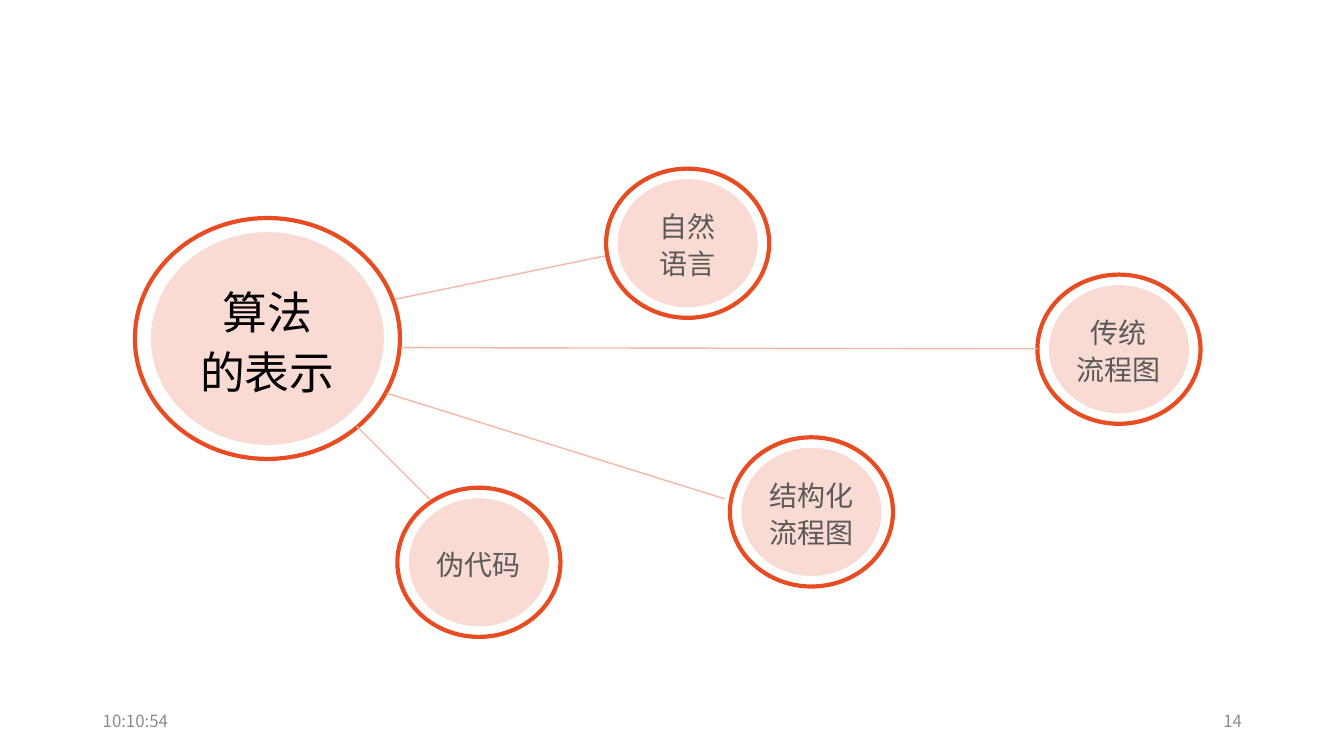
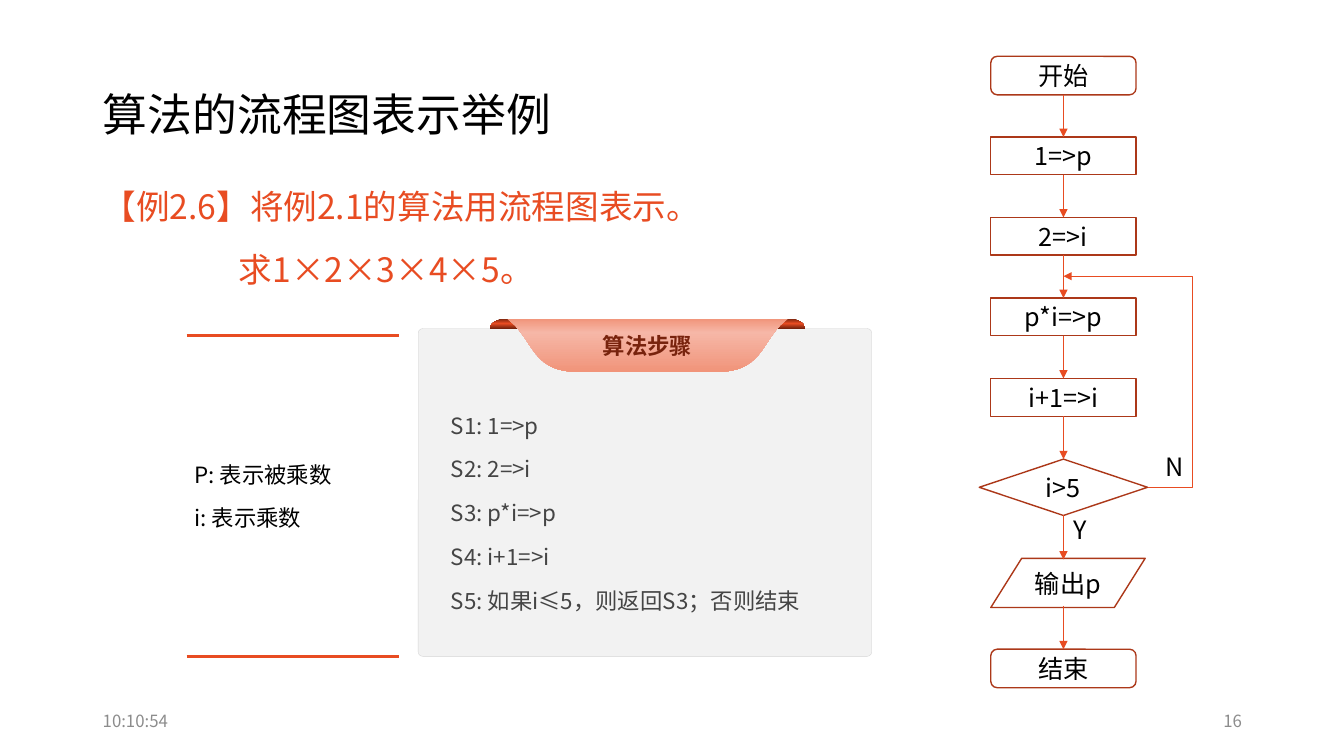
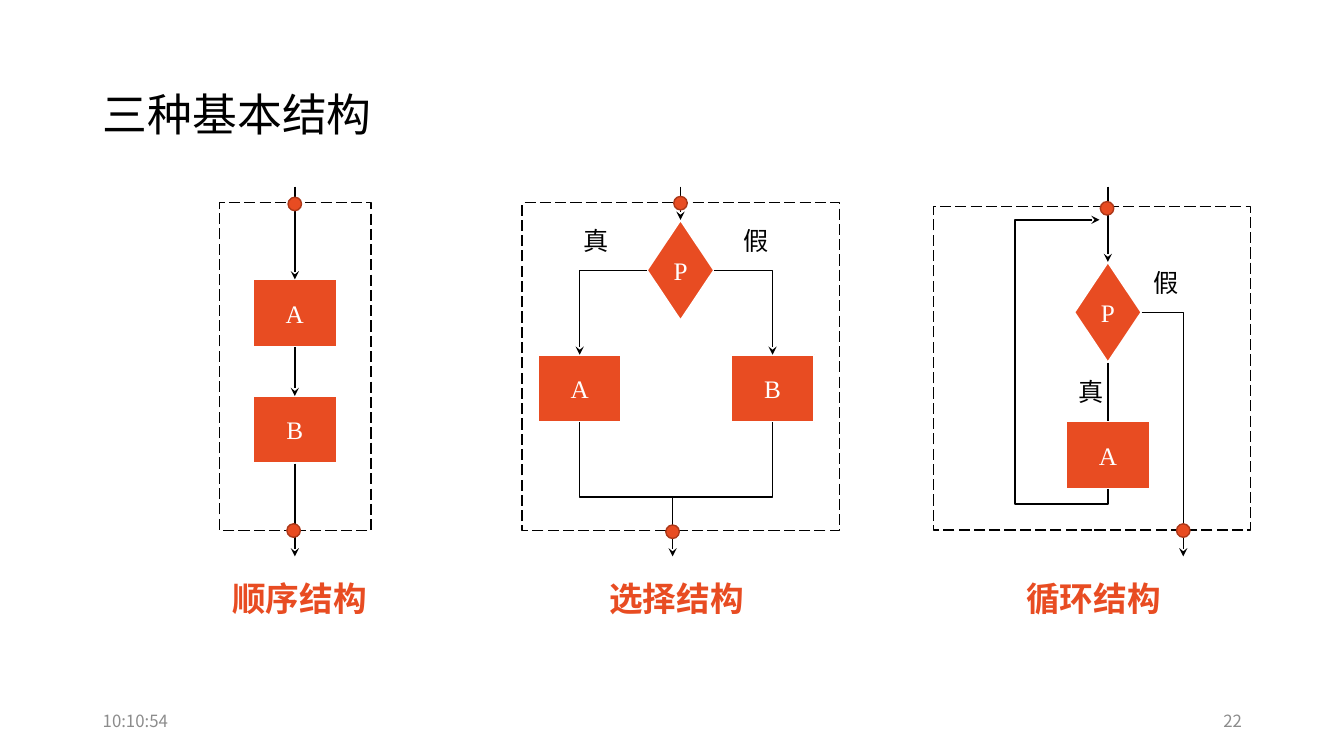
from copy import deepcopy
from math import cos, pi, sin

from lxml import etree
from pptx import Presentation
from pptx.dml.color import RGBColor
from pptx.enum import dml, shapes, text
from pptx.oxml.ns import qn
from pptx.util import Cm, Pt

hue = RGBColor.from_string
KIND = shapes.MSO_SHAPE
LEFT, MID, RIGHT = text.PP_ALIGN.LEFT, text.PP_ALIGN.CENTER, text.PP_ALIGN.RIGHT
SANS, SERIF = "Noto Sans CJK SC", "Times New Roman"
RED, RUST, DARK, PINK, ROSE = "E84C22", "AC3819", "78230D", "FADBD3", "F6B7A7"
BLACK, WHITE, GREY = "000000", "FFFFFF", "8C8C8C"


def put(page, kind, box, words=(), size=18, ink=BLACK, font=SANS, bold=False,
        align=MID, fill=None, line=None, wide=1, pitch=None, gap=(0, 0),
        inset=(0.25, 0.13, 0.25, 0.13), anchor=text.MSO_ANCHOR.MIDDLE):
    spot = [Cm(n) for n in box]
    if kind == "title":
        shape = page.shapes.title
        shape.left, shape.top, shape.width, shape.height = spot
    elif kind == "text":
        shape = page.shapes.add_textbox(*spot)
    elif kind in list(KIND):
        shape = page.shapes.add_shape(kind, *spot)
        shape.shadow.inherit = False
        if fill:
            shape.fill.solid()
            shape.fill.fore_color.rgb = hue(fill)
        else:
            shape.fill.background()
        if line:
            shape.line.color.rgb = hue(line)
            shape.line.width = Pt(wide)
        else:
            shape.line.fill.background()
    else:
        shape = kind
    frame = shape.text_frame
    frame.word_wrap = True
    frame.vertical_anchor = anchor
    (frame.margin_left, frame.margin_top,
     frame.margin_right, frame.margin_bottom) = [Cm(n) for n in inset]
    for i, word in enumerate(words):
        para = frame.add_paragraph() if i else frame.paragraphs[0]
        para.alignment = align
        para.space_before, para.space_after = Pt(gap[0]), Pt(gap[1])
        if pitch:
            para.line_spacing = Pt(pitch)
        run = para.add_run()
        run.text = word
        run.font.size, run.font.bold = Pt(size), bold
        run.font.color.rgb = hue(ink)
        run.font.name = font
        etree.SubElement(run._r.get_or_add_rPr(), qn("a:ea"), typeface=SANS)
    return shape


def wire(page, dots, ink=BLACK, wide=1, head=None, start=None, end=None):
    spots = [(Cm(x), Cm(y)) for x, y in dots]
    if len(spots) == 2:
        shape = page.shapes.add_connector(
            shapes.MSO_CONNECTOR.STRAIGHT, *spots[0], *spots[1])
        if start:
            shape.begin_connect(start, 2)
        if end:
            shape.end_connect(end, 0)
    else:
        form = page.shapes.build_freeform(*spots[0])
        form.add_line_segments(spots[1:], close=False)
        shape = form.convert_to_shape()
        shape.shadow.inherit = False
        shape.fill.background()
    shape.line.color.rgb = hue(ink)
    shape.line.width = Pt(wide)
    props = shape.element.spPr
    if head:
        etree.SubElement(props.find(qn("a:ln")), qn("a:tailEnd"), type=head)
    if len(spots) == 2:
        etree.SubElement(props, qn("a:effectLst"))
    return shape


deck = Presentation()
deck.slide_width, deck.slide_height = Cm(33.87), Cm(19.05)
pages = []
for name, number in [("", "14"), ("算法的流程图表示举例", "16"), ("三种基本结构", "22")]:
    page = deck.slides.add_slide(deck.slide_layouts[5 if name else 6])
    if name:
        put(page, "title", (2.34, 1.02, 29.21, 3.68), [name], 32, align=LEFT)
    for x, word, align in [(2.34, "10:10:54", LEFT), (23.93, number, RIGHT)]:
        put(page, "text", (x, 17.65, 7.62, 1.02), [word], 12, GREY, align=align)
    pages.append(page)
hub, flow, trio = pages

big = ((5.87, 5.36), (6.68, 6.07), 32, BLACK, 43)
small = ((3.53, 3.23), (4.11, 3.76), 20, "595959", 26.4)
for x, y, words, style in [
    (6.74, 8.53, ["算法", "的表示"], big),
    (12.07, 14.17, ["伪代码"], small),
    (20.45, 12.9, ["结构化", "流程图"], small),
    (28.2, 8.8, ["传统", "流程图"], small),
    (17.33, 6.13, ["自然", "语言"], small),
]:
    disc, ring, size, ink, pitch = style
    put(hub, KIND.OVAL, (x - disc[0] / 2, y - disc[1] / 2, *disc), words, size,
        ink, fill=PINK, pitch=pitch, inset=(0, 0, 0, 0))
    put(hub, KIND.OVAL, (x - ring[0] / 2, y - ring[1] / 2, *ring), line=RED, wide=3)
for dots in [
    [(8.99, 10.74), (10.85, 12.6)],
    [(9.96, 7.54), (15.24, 6.45)],
    [(9.75, 9.91), (18.26, 12.57)],
    [(10.11, 8.76), (26.14, 8.79)],
]:
    wire(hub, dots, ROSE)

task = put(flow, "text", (2.34, 4.34, 23.09, 1.63),
           ["【例2.6】将例2.1的算法用流程图表示。", "求1×2×3×4×5。"], 24, RED,
           align=LEFT, pitch=35, gap=(0, 10), anchor=text.MSO_ANCHOR.TOP)
task.text_frame.paragraphs[1]._p.get_or_add_pPr().set("marL", str(Cm(3.43)))

panel = put(flow, KIND.ROUNDED_RECTANGLE, (10.54, 8.28, 11.43, 8.26),
            ["S1: 1=>p", "S2: 2=>i", "S3: p*i=>p", "S4: i+1=>i",
             "S5: 如果i≤5，则返回S3；否则结束"], 16, "454545", align=LEFT,
            fill="F2F2F2", line="D5D5D5", wide=0.25, pitch=19.2, gap=(6, 6),
            inset=(0.79, 2.01, 0.79, 0.99))
panel.adjustments[0] = 0.014

axis = 16.32
curl = [(12.78 - 0.43 * cos(pi * i / 16), 8.28 - 0.25 * sin(pi * i / 16))
        for i in range(17)]
bend = [(12.98, 8.2), (13.44, 8.69), (13.51, 9.37), (14.55, 9.37)]
edge = [(12.78, 8.03)]
for i in range(17):
    t = i / 16
    parts = [(1 - t) ** 3, 3 * t * (1 - t) ** 2, 3 * t * t * (1 - t), t ** 3]
    edge.append(tuple(sum(k * dot[n] for k, dot in zip(parts, bend)) for n in (0, 1)))
shade = [(0, DARK), (0.49, RED), (1, DARK)]
glow = [(0, "F1947A"), (0.26, ROSE), (1, "F1947A")]
for dots, stops, words in [
    (curl, shade, []),
    ([(2 * axis - x, y) for x, y in curl], shade, []),
    (edge + [(2 * axis - x, y) for x, y in reversed(edge)], glow, ["算法步骤"]),
]:
    spots = [(Cm(x), Cm(y)) for x, y in dots]
    form = flow.shapes.build_freeform(*spots[0])
    form.add_line_segments(spots[1:], close=True)
    piece = form.convert_to_shape()
    piece.shadow.inherit = False
    piece.line.fill.background()
    piece.fill.gradient()
    piece.fill.gradient_angle = 270
    ramp = piece.element.spPr.find(".//" + qn("a:gsLst"))
    ramp.insert(1, deepcopy(ramp[0]))
    for stop, (place, ink) in zip(piece.fill.gradient_stops, stops):
        stop.position = place
        stop.color.rgb = hue(ink)
    put(flow, piece, (), words, 16, DARK, bold=True)

put(flow, "text", (4.7, 8.46, 5.38, 8.08), ["P: 表示被乘数", "i: 表示乘数"], 16,
    align=LEFT, pitch=19.2, gap=(6, 6), inset=(0.2, 0.2, 0.2, 0.2))
for y in (8.46, 16.54):
    wire(flow, [(4.7, y), (10.06, y)], RED, 2)

mid, step = 26.8, 2.03
last = None
for i, (kind, word, w, h) in enumerate([
    (KIND.FLOWCHART_ALTERNATE_PROCESS, "开始", 3.66, 0.97),
    (KIND.FLOWCHART_PROCESS, "1=>p", 3.66, 0.95),
    (KIND.FLOWCHART_PROCESS, "2=>i", 3.66, 0.95),
    (KIND.FLOWCHART_PROCESS, "p*i=>p", 3.66, 0.95),
    (KIND.FLOWCHART_PROCESS, "i+1=>i", 3.66, 0.95),
    (KIND.FLOWCHART_DECISION, "i>5", 4.24, 1.42),
]):
    top = 1.42 + step * i
    node = put(flow, kind, (mid - w / 2, top, w, h), [word], line=RUST,
               inset=(0, 0, 0, 0))
    if last:
        wire(flow, [(mid, top - 1), (mid, top)], RED, 0.5, "triangle", last, node)
    last = node
put(flow, KIND.FLOWCHART_DATA, (24.97, 14.07, 3.89, 1.24), ["输出p"], line=RUST,
    inset=(0, 0, 0, 0))
stop = put(flow, KIND.FLOWCHART_ALTERNATE_PROCESS, (24.97, 16.36, 3.66, 0.97),
           ["结束"], line=RUST, inset=(0, 0, 0, 0))
wire(flow, [(mid, 13), (mid, 14.1)], RED, 0.5, "triangle", start=last)
wire(flow, [(mid, 15.27), (mid, 16.36)], RED, 0.5, "triangle", end=stop)
wire(flow, [(28.92, 12.28), (30.05, 12.28), (30.05, 6.96), (mid, 6.96)],
     RED, 0.5, "triangle")
for x, y, word in [(26.8, 12.83, "Y"), (29.13, 11.25, "N")]:
    put(flow, "text", (x, y, 1.37, 1.02), [word], align=LEFT)

nodes = []
for word, x, y in [
    ("A", 7.43, 7.89), ("B", 7.43, 10.83),
    ("P", 17.15, 6.81), ("A", 14.61, 9.79), ("B", 19.47, 9.79),
    ("P", 27.92, 7.87), ("A", 27.92, 11.47),
]:
    kind, w, h = (KIND.DIAMOND, 1.7, 2.54) if word == "P" else (KIND.RECTANGLE, 2.11, 1.7)
    nodes.append(put(trio, kind, (x - w / 2, y - h / 2, w, h), [word], ink=WHITE,
                     font=SERIF, fill=RED, line=WHITE, wide=1.5,
                     inset=(0, 0, 0, 0)))
first, second, test, yes, no, check, body = nodes
for dots, head, start, end in [
    ([(7.43, 4.7), (7.43, 7.04)], "stealth", None, first),
    ([(7.43, 8.74), (7.43, 9.98)], "stealth", first, second),
    ([(7.43, 11.68), (7.43, 14.02)], "stealth", second, None),
    ([(17.15, 4.7), (17.15, 5.54)], "stealth", None, test),
    ([(16.3, 6.81), (14.61, 6.81), (14.61, 8.94)], "stealth", None, None),
    ([(18, 6.81), (19.47, 6.81), (19.47, 8.94)], "stealth", None, None),
    ([(14.61, 10.64), (14.61, 12.52), (19.47, 12.52), (19.47, 10.64)], None, None, None),
    ([(16.95, 12.52), (16.95, 14.02)], "stealth", None, None),
    ([(27.92, 4.7), (27.92, 6.6)], "stealth", None, check),
    ([(27.92, 9.14), (27.92, 10.62)], None, check, body),
    ([(28.77, 7.87), (29.82, 7.87), (29.82, 14.02)], "stealth", None, None),
    ([(27.92, 12.32), (27.92, 12.7), (25.58, 12.7), (25.58, 5.54), (27.71, 5.54)],
     "stealth", None, None),
]:
    wire(trio, dots, head=head, start=start, end=end)
for box in [(5.54, 5.11, 3.81, 8.26), (13.16, 5.11, 8, 8.26), (23.52, 5.21, 8, 8.15)]:
    frame = put(trio, KIND.RECTANGLE, box, line=BLACK)
    frame.line.dash_style = dml.MSO_LINE.LONG_DASH
for x, y in [(7.43, 5.14), (7.4, 13.37), (17.15, 5.12), (16.95, 13.4),
             (27.9, 5.25), (29.82, 13.37)]:
    put(trio, KIND.FLOWCHART_CONNECTOR, (x - 0.17, y - 0.17, 0.34, 0.34),
        fill=RED, line=RUST)
for x, y, word in [(14.4, 5.54, "真"), (18.42, 5.54, "假"),
                   (28.76, 6.6, "假"), (26.85, 9.35, "真")]:
    put(trio, "text", (x, y, 1.27, 1.02), [word], font=SERIF)
for x, word in [(5.11, "顺序结构"), (14.61, "选择结构"), (25.12, "循环结构")]:
    put(trio, "text", (x, 14.43, 4.88, 1.3), [word], 24, RED, "Arial", True)

deck.save("out.pptx")
